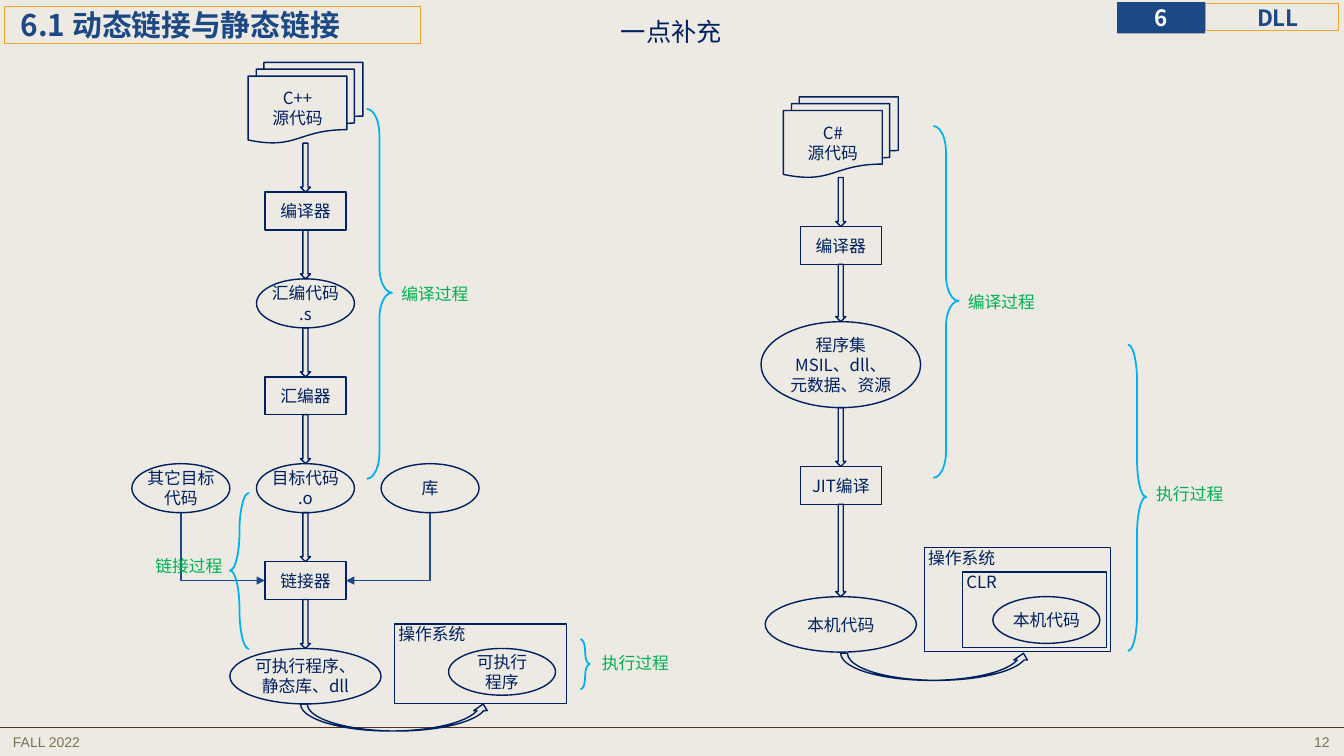
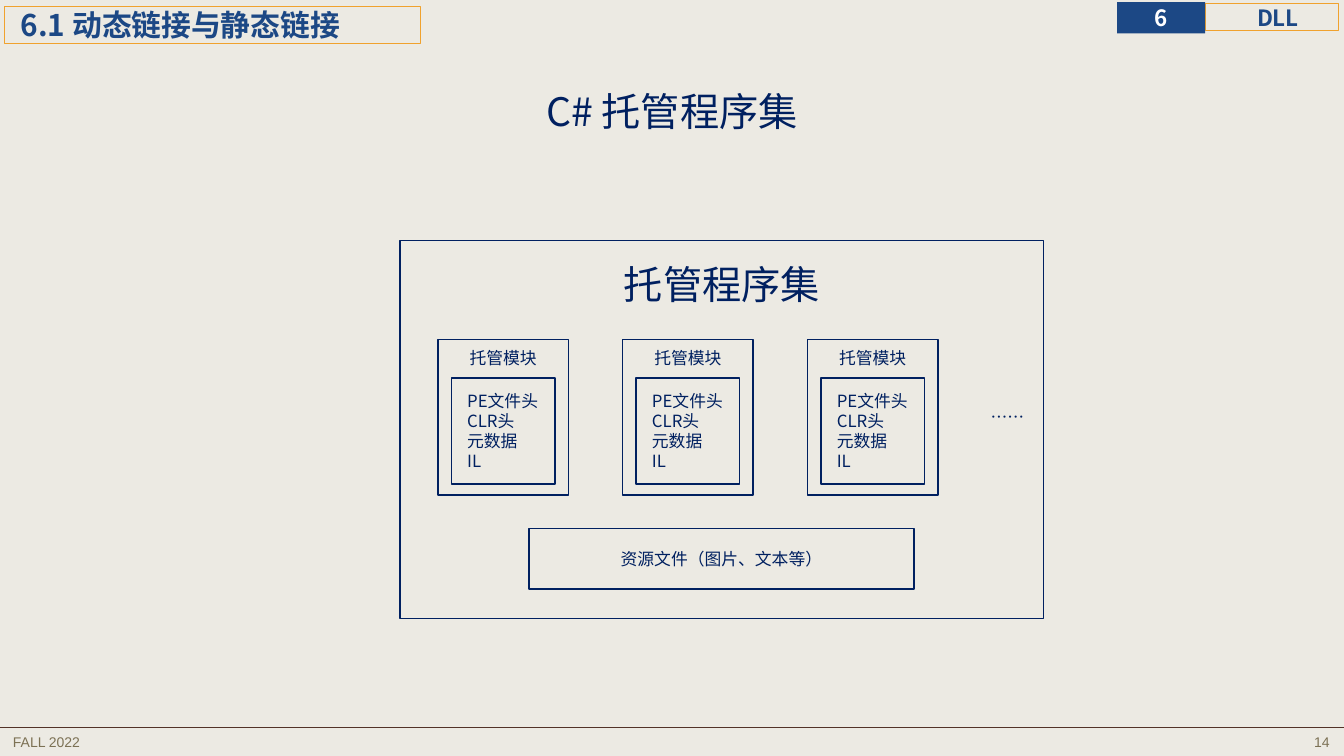
from lxml.etree import SubElement
from pptx import Presentation
from pptx.dml.color import RGBColor
from pptx.enum.shapes import MSO_CONNECTOR as LINE, MSO_SHAPE as PRESET
from pptx.enum.text import MSO_ANCHOR as ANCHOR, PP_ALIGN as ALIGN
from pptx.oxml.ns import qn
from pptx.util import Pt

COLORS = {
    "paper": "ECEAE3", "navy": "002060", "blue": "1C4885", "orange": "F0A22E",
    "brown": "523227", "footer": "7C7154", "cyan": "00B0F0", "green": "00B050",
    "white": "FFFFFF",
}
CJK = "Noto Sans CJK SC"
STYLES = {
    "body": {"size": Pt(12), "name": CJK, "color": "navy"},
    "stage": {"size": Pt(12), "name": CJK, "color": "green"},
    "subtitle": {"size": Pt(18), "name": CJK, "color": "navy"},
    "heading": {"size": Pt(28), "name": CJK, "color": "navy"},
    "section": {"size": Pt(21.3), "name": CJK, "color": "blue", "bold": True},
    "chapter": {"size": Pt(16), "name": CJK, "color": "blue", "bold": True},
    "number": {"size": Pt(16), "name": CJK, "color": "white", "bold": True},
    "footer": {"size": Pt(10), "name": "Arial", "color": "footer"},
}
# Flowchart parts: preset, width, height
PARTS = {
    "source": (PRESET.FLOWCHART_MULTIDOCUMENT, 82, 57.6),
    "tool": (PRESET.RECTANGLE, 58, 27),
    "code": (PRESET.OVAL, 70, 35),
    "assembly": (PRESET.OVAL, 114, 61.4),
    "result": (PRESET.OVAL, 108, 39.6),
    "running": (PRESET.OVAL, 76.4, 33.4),
}
BOX_INSETS = (0, 0, 0, 0)
TEXT_INSETS = (7.2, 3.6, 7.2, 3.6)


def rgb(color):
    return RGBColor.from_string(COLORS[color])


def write(target, lines, style="body", align=ALIGN.CENTER, anchor=ANCHOR.MIDDLE,
          insets=BOX_INSETS, spacing=None):
    frame = target.text_frame
    left, top, right, bottom = map(Pt, insets)
    layout = {"word_wrap": True, "vertical_anchor": anchor, "margin_left": left,
              "margin_top": top, "margin_right": right, "margin_bottom": bottom}
    for key, value in layout.items():
        setattr(frame, key, value)
    for index, line in enumerate(lines):
        paragraph = frame.add_paragraph() if index else frame.paragraphs[0]
        paragraph.alignment = align
        if spacing:
            paragraph.line_spacing = spacing
        run = paragraph.add_run()
        run.text = line
        for key, value in STYLES[style].items():
            if key == "color":
                run.font.color.rgb = rgb(value)
            else:
                setattr(run.font, key, value)
        SubElement(run.font._element, qn("a:ea"), typeface=STYLES[style]["name"])


def draw(slide, preset, box, line="navy", width=1, fill=None):
    shape = slide.shapes.add_shape(preset, *map(Pt, box))
    shape.shadow.inherit = False
    if fill:
        shape.fill.solid()
        shape.fill.fore_color.rgb = rgb(fill)
    else:
        shape.fill.background()
    if line:
        shape.line.color.rgb = rgb(line)
        shape.line.width = Pt(width)
    else:
        shape.line.fill.background()
    return shape


def panel(slide, box, lines, **text):
    write(draw(slide, PRESET.RECTANGLE, box), lines, **text)


def label(slide, box, text, style="body", **options):
    options = {"anchor": ANCHOR.TOP, "insets": TEXT_INSETS} | options
    write(slide.shapes.add_textbox(*map(Pt, box)), [text], style, **options)


def stage_label(slide, left, top, text):
    label(slide, (left, top, 91.4, 21.6), text, "stage")


def connect(slide, kind, start, end, color, width):
    link = slide.shapes.add_connector(kind, *map(Pt, start + end))
    link.line.color.rgb = rgb(color)
    link.line.width = Pt(width)
    SubElement(link._element.spPr, qn("a:effectLst"))
    return link


def feed(slide, supplier, linker, side):
    """Lead from the bottom of a supplier down and into a side of the linker."""
    edge = linker.left + (linker.width if side == 3 else 0)
    start = (edge.pt if hasattr(edge, "pt") else edge / Pt(1),
             (linker.top + linker.height / 2) / Pt(1))
    end = ((supplier.left + supplier.width / 2) / Pt(1),
           (supplier.top + supplier.height) / Pt(1))
    link = connect(slide, LINE.ELBOW, start, end, "blue", 1.25)
    link.begin_connect(linker, side)
    ends = link._element.find(".//" + qn("p:cNvCxnSpPr"))
    SubElement(ends, qn("a:endCxn"), id=str(supplier.shape_id), idx="4")
    link._element.spPr.find(qn("a:prstGeom")).set("prst", "bentConnector2")
    SubElement(link.line._get_or_add_ln(), qn("a:headEnd"), type="triangle")


def brace(slide, box, bend=2.005, opens_left=True):
    shape = draw(slide, PRESET.LEFT_BRACE, box, "cyan", 1.25)
    shape.adjustments[0] = bend
    shape.adjustments[1] = 0.497
    if opens_left:
        shape._element.spPr.find(qn("a:xfrm")).set("flipH", "1")


def part(slide, kind, axis, top, lines):
    preset, width, height = PARTS[kind]
    shape = draw(slide, preset, (axis - width / 2, top, width, height))
    write(shape, lines)
    return shape


def flow(slide, axis, top, steps):
    """Stack steps on a vertical axis, each gap before a step filled by an arrow."""
    shapes = []
    for gap, kind, lines in steps:
        if gap:
            draw(slide, PRESET.DOWN_ARROW, (axis - 3.6, top, 7.2, gap))
        shapes.append(part(slide, kind, axis, top + gap, lines))
        top += gap + PARTS[kind][2]
    return shapes


def load_arrow(slide, left, top):
    draw(slide, PRESET.CURVED_UP_ARROW, (left, top, 135.4, 19.4))


def add_page(deck, number):
    slide = deck.slides.add_slide(deck.slide_layouts[6])
    label(slide, (2.2, 520.6, 200, 22.3), "FALL 2022", "footer", align=ALIGN.LEFT)
    label(slide, (756.8, 520.6, 200, 22.3), str(number), "footer", align=ALIGN.RIGHT)
    write(draw(slide, PRESET.RECTANGLE, (861, 2.6, 95, 19.4), "orange", 0.75),
          ["DLL"], "chapter", insets=(8.6, 0, 0, 0))
    write(draw(slide, PRESET.RECTANGLE, (798, 1.6, 62.8, 22.4), None, fill="blue"),
          ["6"], "number")
    connect(slide, LINE.STRAIGHT, (-2, 519.2), (960, 519.2), "brown", 0.5)
    write(draw(slide, PRESET.RECTANGLE, (3.4, 4.8, 297, 26.2), "orange", 0.75),
          ["6.1 动态链接与静态链接"], "section", ALIGN.LEFT, insets=(11.5, 0, 0, 0))
    return slide


def native_build(slide):
    axis = 218.2
    steps = [
        (0, "source", ["C++", "源代码"]),
        (35, "tool", ["编译器"]),
        (35, "code", ["汇编代码", ".s"]),
        (35, "tool", ["汇编器"]),
        (35, "code", ["目标代码", ".o"]),
        (35, "tool", ["链接器"]),
        (35, "result", ["可执行程序、静态库、dll"]),
    ]
    linker = flow(slide, axis, 44.6, steps)[5]
    for offset, side, lines in ((-89, 1, ["其它目标代码"]), (89, 3, ["库"])):
        supplier = part(slide, "code", axis + offset, 331.2, lines)
        feed(slide, supplier, linker, side)

    brace(slide, (262, 77.8, 18, 264.2), 1.024)
    stage_label(slide, 265, 199.4, "编译过程")
    brace(slide, (164.2, 352, 13.7, 111.6), opens_left=False)
    stage_label(slide, 89.3, 393.1, "链接过程")

    load_arrow(slide, 214.6, 502.8)
    panel(slide, (281.9, 445.7, 122.9, 56.9), ["操作系统"], align=ALIGN.LEFT,
          anchor=ANCHOR.TOP, insets=(2.7, 0, 0, 0))
    part(slide, "running", 358.6, 463.2, ["可执行", "程序"])
    brace(slide, (414.7, 456.5, 6.5, 36))
    stage_label(slide, 408.2, 463, "执行过程")


def managed_build(slide):
    steps = [
        (0, "source", ["C#", "源代码"]),
        (35, "tool", ["编译器"]),
        (41, "assembly", ["程序集", "MSIL、dll、", "元数据、资源"]),
        (42, "tool", ["JIT编译"]),
        (66, "result", ["本机代码"]),
    ]
    flow(slide, 600.6, 69.2, steps)
    brace(slide, (666.7, 90, 18, 251.3), 1.024)
    stage_label(slide, 669.6, 205.2, "编译过程")

    load_arrow(slide, 600.5, 466.6)
    hosts = [("操作系统", (660.2, 391, 133.2, 74.2)), ("CLR", (687.6, 408.5, 103, 54))]
    for host, box in hosts:
        panel(slide, box, [host], align=ALIGN.LEFT, anchor=ANCHOR.TOP,
              insets=(2.7, 0, 0, 0))
    part(slide, "running", 747.4, 426.2, ["本机代码"])
    brace(slide, (805.7, 246.2, 13, 218.9))
    stage_label(slide, 804.2, 342, "执行过程")


def managed_assembly(slide):
    label(slide, (66, 28.8, 828, 104.4), "C# 托管程序集", "heading",
          anchor=ANCHOR.MIDDLE, insets=(6, 3, 6, 3), spacing=0.9)
    panel(slide, (285.8, 171.8, 459.6, 270), ["托管程序集"], style="heading",
          anchor=ANCHOR.TOP, insets=(0, 14.2, 0, 0))
    contents = ["PE文件头", "CLR头", "元数据", "IL"]
    for column in range(3):
        left = 312.8 + 132 * column
        panel(slide, (left, 242.5, 93.2, 111.2), ["托管模块"], anchor=ANCHOR.TOP,
              insets=(0, 5.7, 0, 0))
        panel(slide, (left + 9.6, 270, 74, 75.8), contents, align=ALIGN.LEFT,
              insets=(11.3, 0, 0, 0))
    label(slide, (670.3, 287.3, 98.6, 21.6), "……")
    panel(slide, (377.8, 377.6, 275.2, 43.2), ["资源文件（图片、文本等）"])


def main():
    deck = Presentation()
    deck.slide_width, deck.slide_height = Pt(960), Pt(540)
    paper = deck.slide_master.background.fill
    paper.solid()
    paper.fore_color.rgb = rgb("paper")

    builds = add_page(deck, 12)
    native_build(builds)
    managed_build(builds)
    label(builds, (413.3, 7.9, 132.5, 28.8), "一点补充", "subtitle")

    managed_assembly(add_page(deck, 14))
    deck.save("out.pptx")


if __name__ == "__main__":
    main()
